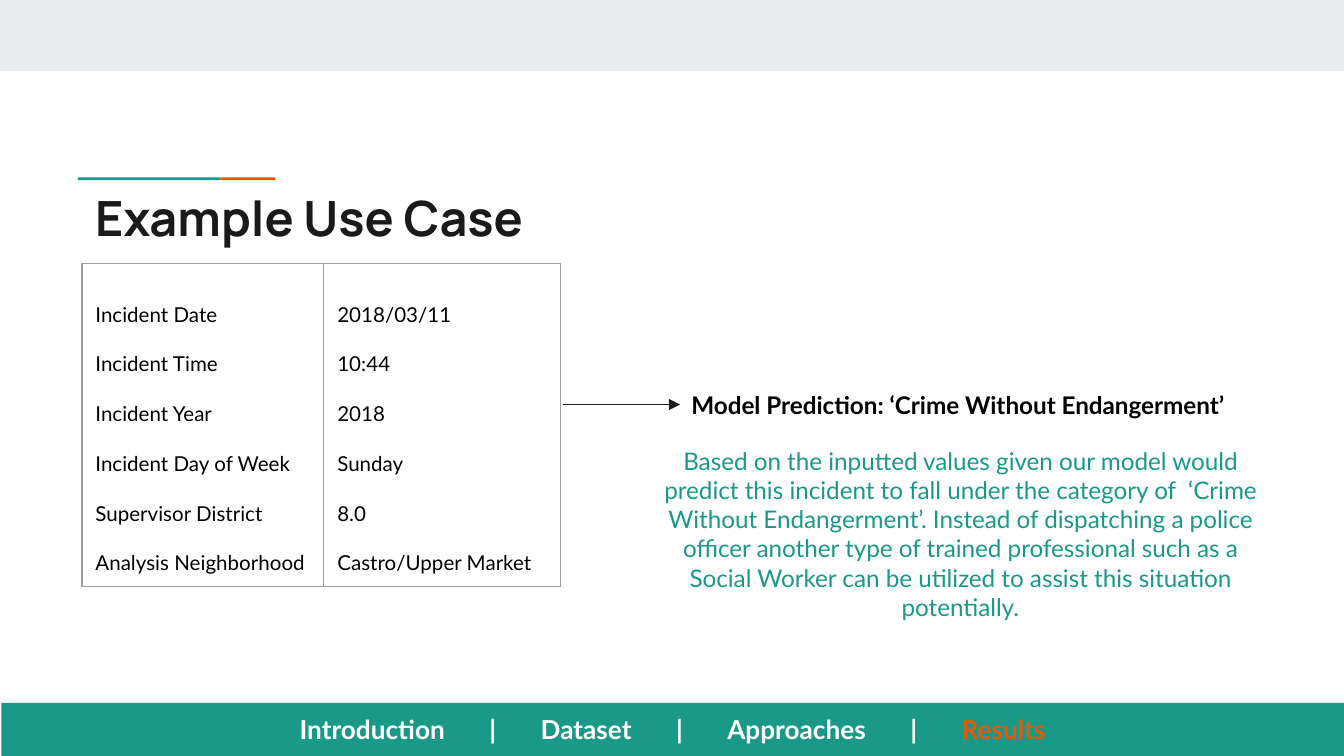
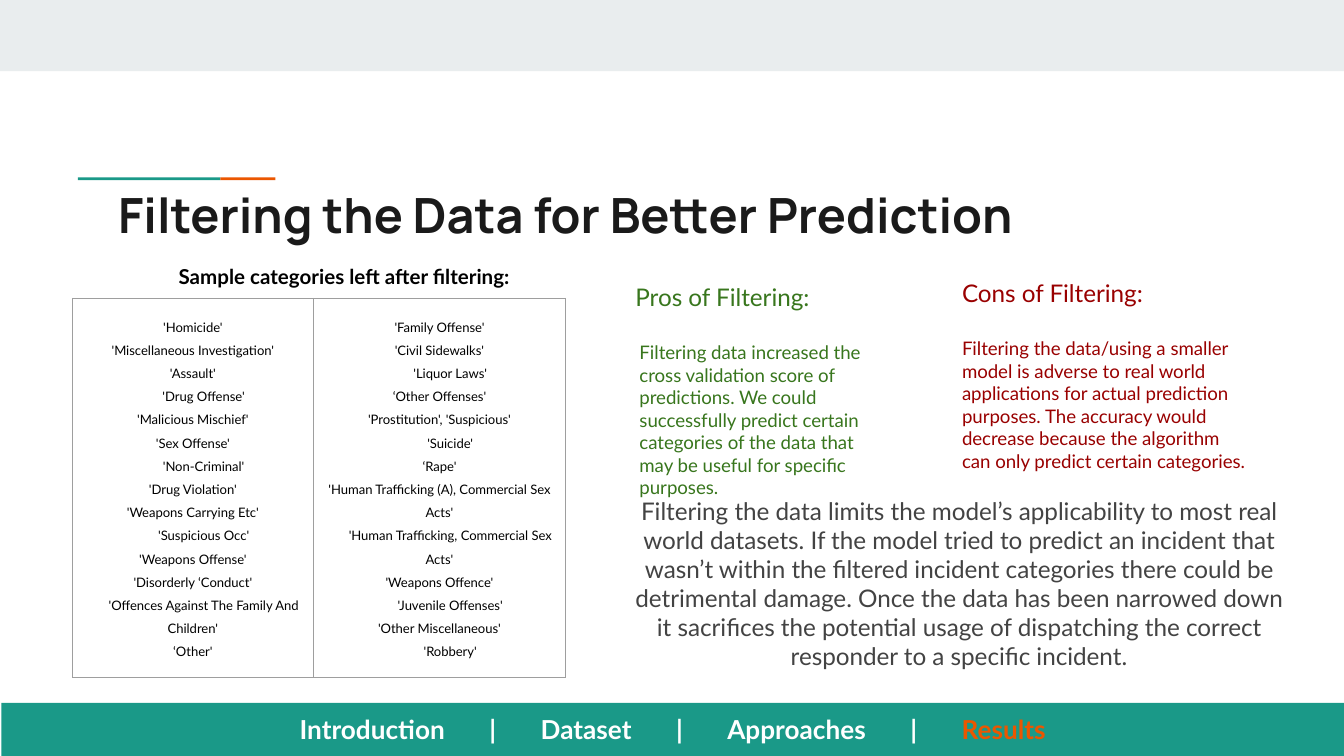
from lxml import etree
from pptx import Presentation
from pptx.dml.color import RGBColor
from pptx.enum.shapes import MSO_CONNECTOR, MSO_SHAPE
from pptx.enum.text import MSO_ANCHOR, PP_ALIGN
from pptx.oxml.ns import qn
from pptx.util import Inches, Pt

RECTANGLE = MSO_SHAPE.RECTANGLE
STRAIGHT = MSO_CONNECTOR.STRAIGHT
LEFT, CENTER = PP_ALIGN.LEFT, PP_ALIGN.CENTER
TOP, MIDDLE = MSO_ANCHOR.TOP, MSO_ANCHOR.MIDDLE

# Shared look
WIDTH = 10
HEIGHT = WIDTH * 9 / 16
BODY_FONT, TITLE_FONT = "Lato", "Manrope"
TEAL, ORANGE, MIST = "1A9988", "EB5600", "E9EDEE"
INK, BLACK, WHITE, GRAY = "1A1A1A", "000000", "FFFFFF", "434343"
GREEN, RED, BORDER = "38761D", "990000", "9E9E9E"
INSET = 0.1
SECTIONS = ["Introduction", "Dataset", "Approaches", "Results"]
SECTION_GAP = 20.4  # extra points after each space in the footer

# Content: example use case
INCIDENT = [
    ("Incident Date", "2018/03/11"),
    ("Incident Time", "10:44"),
    ("Incident Year", "2018"),
    ("Incident Day of Week", "Sunday"),
    ("Supervisor District", "8.0"),
    ("Analysis Neighborhood", "Castro/Upper Market"),
]
PREDICTION = "Model Prediction: ‘Crime Without Endangerment’"
EXPLANATION = (
    "Based on the inputted values given our model would predict this incident "
    "to fall under the category of  ‘Crime Without Endangerment’. Instead of "
    "dispatching a police officer another type of trained professional such as "
    "a Social Worker can be utilized to assist this situation potentially."
)

# Content: filtering; categories in INDENTED start a little to the right
CATEGORIES = [
    ["'Homicide'", "'Miscellaneous Investigation'", "'Assault'", "'Drug Offense'",
     "'Malicious Mischief'", "'Sex Offense'", "'Non-Criminal'", "'Drug Violation'",
     "'Weapons Carrying Etc'", "'Suspicious Occ'", "'Weapons Offense'",
     "'Disorderly ‘Conduct'", "'Offences Against The Family And Children'",
     "‘Other'"],
    ["'Family Offense'", "'Civil Sidewalks'", "'Liquor Laws'", "‘Other Offenses'",
     "'Prostitution', 'Suspicious'", "'Suicide'", "‘Rape'",
     "'Human Trafficking (A), Commercial Sex Acts'",
     "'Human Trafficking, Commercial Sex Acts'", "'Weapons Offence'",
     "'Juvenile Offenses'", "'Other Miscellaneous'", "'Robbery'"],
]
INDENTED = {
    "'Drug Offense'", "'Non-Criminal'", "'Suspicious Occ'",
    "'Offences Against The Family And Children'", "'Liquor Laws'", "'Suicide'",
    "'Human Trafficking, Commercial Sex Acts'", "'Juvenile Offenses'", "'Robbery'",
}
PROS = (
    "Filtering data increased the cross validation score of predictions. We "
    "could successfully predict certain categories of the data that may be "
    "useful for specific purposes."
)
CONS = (
    "Filtering the data/using a smaller model is adverse to real world "
    "applications for actual prediction purposes. The accuracy would decrease "
    "because the algorithm can only predict certain categories."
)
LIMITS = (
    "Filtering the data limits the model’s applicability to most real world "
    "datasets. If the model tried to predict an incident that wasn’t within the "
    "filtered incident categories there could be detrimental damage. Once the "
    "data has been narrowed down it sacrifices the potential usage of "
    "dispatching the correct responder to a specific incident."
)


def rgb(value):
    return RGBColor.from_string(value)


def place(*lengths):
    return [Inches(length) for length in lengths]


def style(para, size, color, bold=False, align=LEFT, font=BODY_FONT):
    para.font.name, para.font.size, para.font.bold = font, Pt(size), bold
    para.font.color.rgb = rgb(color)
    para.alignment = align


def indent(para, left=0, right=0, first=0):
    properties = para._p.get_or_add_pPr()
    for name, length in (("marL", left), ("marR", right), ("indent", first)):
        properties.set(name, str(Inches(length)))


def prepare(frame, anchor=TOP):
    frame.word_wrap = True
    frame.vertical_anchor = anchor
    frame.margin_left = frame.margin_right = Inches(INSET)
    frame.margin_top = frame.margin_bottom = Inches(INSET)


def add_text(page, area, text, size, color, anchor=TOP, **look):
    frame = page.shapes.add_textbox(*place(*area)).text_frame
    prepare(frame, anchor)
    frame.text = text
    style(frame.paragraphs[0], size, color, **look)
    return frame


def add_bar(page, area, color):
    bar = page.shapes.add_shape(RECTANGLE, *place(*area))
    bar.shadow.inherit = False
    bar.fill.solid()
    bar.fill.fore_color.rgb = rgb(color)
    bar.line.fill.background()
    return bar


def add_footer(page):
    frame = add_bar(page, (0.01, 5.23, WIDTH - 0.01, HEIGHT - 5.23), TEAL).text_frame
    prepare(frame, MIDDLE)
    para = frame.paragraphs[0]
    style(para, 14, WHITE, bold=True, align=CENTER)
    for position, section in enumerate(SECTIONS):
        for piece in ([" ", "|", " "] if position else []) + [section]:
            span = para.add_run()
            span.text = piece
            span.font.color.rgb = rgb(ORANGE if piece == SECTIONS[-1] else WHITE)
            if piece == " ":
                spacing = round(SECTION_GAP * 100)
                span._r.get_or_add_rPr().set("spc", str(spacing))


def add_page(deck, title, area):
    page = deck.slides.add_slide(deck.slide_layouts[6])
    add_bar(page, (0, 0, WIDTH, 0.53), MIST)
    add_bar(page, (0.58, 1.32, 1.06, 0.02), TEAL)
    add_bar(page, (1.64, 1.32, 0.41, 0.02), ORANGE)
    add_text(page, area, title, 26, INK, bold=True, font=TITLE_FONT)
    add_footer(page)
    return page


def add_borders(cell):
    properties = cell._tc.get_or_add_tcPr()
    for position, side in enumerate(("lnL", "lnR", "lnT", "lnB")):
        line = etree.Element(qn(f"a:{side}"), w=str(Pt(0.75)))
        fill = etree.SubElement(line, qn("a:solidFill"))
        etree.SubElement(fill, qn("a:srgbClr"), val=BORDER)
        properties.insert(position, line)


def add_list_table(page, corner, widths, height, columns, size, spacing, align):
    """One table row whose cells each hold a list of lines."""
    area = place(*corner, sum(widths), height)
    table = page.shapes.add_table(1, len(columns), *area).table
    table.first_row = table.horz_banding = False
    for number, (width, lines) in enumerate(zip(widths, columns)):
        table.columns[number].width = Inches(width)
        cell = table.cell(0, number)
        cell.fill.background()
        cell.margin_left = cell.margin_right = Inches(INSET)
        cell.margin_top = cell.margin_bottom = Inches(INSET)
        cell.text = "\n".join(lines)
        for para, text in zip(cell.text_frame.paragraphs, lines):
            style(para, size, BLACK, align=align)
            para.line_spacing = spacing
            if text in INDENTED:
                indent(para, first=0.16)
        add_borders(cell)


def add_arrow(page, start, end):
    arrow = page.shapes.add_connector(STRAIGHT, *place(*start, *end))
    arrow.line.color.rgb = rgb(INK)
    arrow.line.width = Pt(0.75)
    etree.SubElement(arrow.line._get_or_add_ln(), qn("a:tailEnd"), type="triangle")
    etree.SubElement(arrow._element.spPr, qn("a:effectLst"))


def add_argument(page, area, heading, body, color, lefts=(0, 0), right=0):
    frame = add_text(page, area, heading, 13, color)
    para = frame.add_paragraph()
    para.text = body
    style(para, 10, color)
    para.space_before = para.space_after = Pt(16)
    for para, left in zip(frame.paragraphs, lefts):
        indent(para, left, right)


def build_use_case(deck):
    page = add_page(deck, "Example Use Case", (0.61, 1.3, 8.41, 0.59))
    add_list_table(page, (0.61, 1.96), (1.8, 1.76), 1.81, list(zip(*INCIDENT)),
                   11, 2.0, LEFT)
    add_arrow(page, (4.19, 3.01), (5.06, 3.01))
    add_text(page, (4.9, 2.76, 4.45, 0.5), PREDICTION, 13, BLACK,
             anchor=MIDDLE, bold=True, align=CENTER)
    add_text(page, (4.84, 3.22, 4.61, 1.52), EXPLANATION, 13, TEAL, align=CENTER)


def build_filtering(deck):
    page = add_page(deck, "Filtering the Data for Better Prediction",
                    (0.78, 1.28, 8.52, 0.59))
    add_text(page, (1.23, 1.87, 2.98, 0.38),
             "Sample categories left after filtering:", 11, BLACK, bold=True)
    add_list_table(page, (0.54, 2.22), (1.79, 1.88), 2.79, CATEGORIES,
                   7, 1.5, CENTER)
    add_argument(page, (7.06, 1.97, 2.36, 2.54), "Cons of Filtering:", CONS, RED,
                 right=0.03)
    add_text(page, (4.62, 3.59, 5.03, 1.26), LIMITS, 13, GRAY, align=CENTER)
    add_argument(page, (4.35, 2, 2.67, 2.62), "Pros of Filtering:", PROS, GREEN,
                 lefts=(0.28, 0.31), right=0.4)


def main():
    deck = Presentation()
    deck.slide_width, deck.slide_height = place(WIDTH, HEIGHT)
    build_use_case(deck)
    build_filtering(deck)
    deck.save("out.pptx")


if __name__ == "__main__":
    main()
